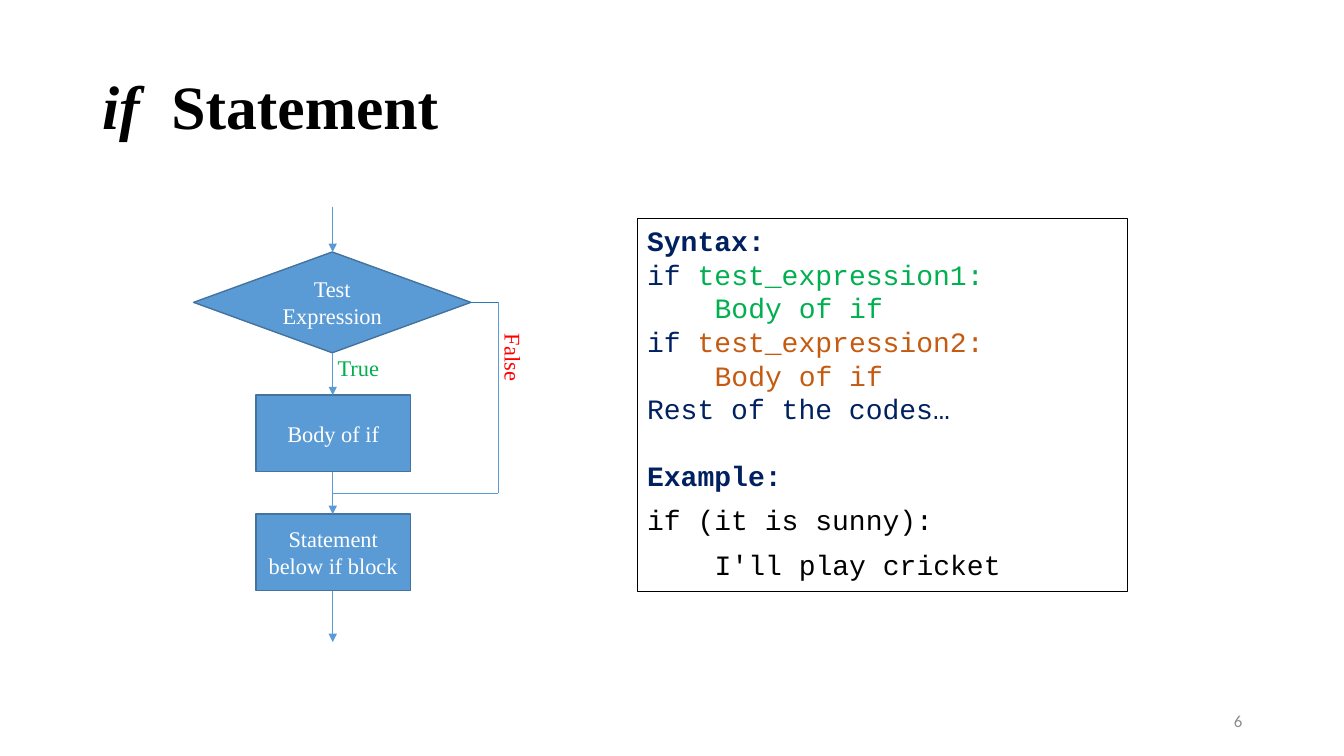
import dataclasses
import pptx
import pptx.util
import pptx.dml.color
import pptx.enum.shapes
import pptx.enum.text
import pptx.oxml
import pptx.oxml.ns

Inches = pptx.util.Inches
Kind = pptx.enum.shapes.MSO_SHAPE
Anchor = pptx.enum.text.MSO_ANCHOR
Align = pptx.enum.text.PP_ALIGN


@dataclasses.dataclass(frozen=True)
class Theme:
    serif: str = "Times New Roman"
    mono: str = "Courier New"
    sans: str = "Calibri"
    title: int = 44
    code: int = 20
    label: int = 16
    page: int = 12
    black: str = "000000"
    white: str = "FFFFFF"
    gray: str = "8C8C8C"
    navy: str = "002060"
    green: str = "00B050"
    rust: str = "C55A11"
    red: str = "FF0000"
    blue: str = "5B9BD5"
    edge: str = "43739E"
    deep: str = "2E75B6"


THEME = Theme()


def tint(code):
    return pptx.dml.color.RGBColor.from_string(code)


def say(frame, *parts, font=THEME.serif, size=THEME.label, color=THEME.black,
        bold=False, align=Align.LEFT, left=0, first=0, space=1.0, before=0):
    para = frame.paragraphs[0]
    if para.runs:
        para = frame.add_paragraph()
    para.alignment = align
    para.line_spacing = space
    para.space_before = pptx.util.Pt(before)
    props = para._p.get_or_add_pPr()
    props.set("marL", str(Inches(left)))
    props.set("indent", str(Inches(first)))
    for part in parts:
        text, hue, slant = (part + (False,))[:3] if isinstance(part, tuple) else (part, color, False)
        run = para.add_run()
        run.text = text
        run.font.name = font
        run.font.size = pptx.util.Pt(size)
        run.font.bold = bold
        run.font.italic = slant
        run.font.color.rgb = tint(hue)


def place(item, left, top, width, height):
    item.left, item.top = Inches(left), Inches(top)
    item.width, item.height = Inches(width), Inches(height)


def shape(slide, kind, box, fill=None, line=THEME.edge, width=1):
    item = slide.shapes.add_shape(kind, *map(Inches, box))
    item.shadow.inherit = False
    if fill:
        item.fill.solid()
        item.fill.fore_color.rgb = tint(fill)
    else:
        item.fill.background()
    item.line.color.rgb = tint(line)
    item.line.width = pptx.util.Pt(width)
    item.text_frame.word_wrap = True
    return item.text_frame


def step(slide, kind, box, text):
    frame = shape(slide, kind, box, fill=THEME.blue)
    frame.vertical_anchor = Anchor.MIDDLE
    say(frame, text, color=THEME.white, align=Align.CENTER)


def label(slide, box, text, turn=0, anchor=Anchor.TOP, **style):
    item = slide.shapes.add_textbox(*map(Inches, box))
    item.rotation = turn
    item.text_frame.word_wrap = True
    item.text_frame.vertical_anchor = anchor
    say(item.text_frame, text, **style)


def link(slide, start, end, color=THEME.blue, arrow=False):
    line = slide.shapes.add_connector(
        pptx.enum.shapes.MSO_CONNECTOR.STRAIGHT, *map(Inches, start + end))
    line.line.color.rgb = tint(color)
    line.line.width = pptx.util.Pt(0.5)
    if arrow:
        tip = pptx.oxml.parse_xml(
            f'<a:tailEnd {pptx.oxml.ns.nsdecls("a")} type="triangle"/>')
        line.line._get_or_add_ln().append(tip)
    line._element.spPr.append(pptx.oxml.parse_xml(
        f'<a:effectLst {pptx.oxml.ns.nsdecls("a")}/>'))


def title(slide):
    item = slide.shapes.title
    place(item, 0.92, 0.36, 11.5, 1.45)
    frame = item.text_frame
    frame.auto_size = pptx.enum.text.MSO_AUTO_SIZE.NONE
    frame.word_wrap = True
    frame.vertical_anchor = Anchor.MIDDLE
    say(frame, ("if", THEME.black, True), "  Statement",
        size=THEME.title, bold=True, space=0.9)


def listing(slide):
    frame = shape(slide, Kind.RECTANGLE, (6.32, 2.17, 4.86, 3.7),
                  line=THEME.black, width=0.75)
    frame.vertical_anchor = Anchor.TOP
    base = {"font": THEME.mono, "size": THEME.code}
    head = base | {"color": THEME.navy, "bold": True}
    tab = 0.67
    say(frame, "Syntax:", **head)
    for test, hue in (("test_expression1:", THEME.green), ("test_expression2:", THEME.rust)):
        say(frame, ("if ", THEME.navy), (test, hue), **base)
        say(frame, "Body of if", color=hue, left=tab, **base)
    say(frame, "Rest of the codes…", color=THEME.navy, **base)
    say(frame, "Example:", before=24, **head)
    demo = base | {"space": 0.9, "before": 10}
    say(frame, "if (it is sunny):", left=0.25, first=-0.25, **demo)
    say(frame, "I'll play cricket", left=tab, **demo)


def chart(slide):
    mid, side, join = 3.3, 4.94, 4.89
    step(slide, Kind.DIAMOND, (1.92, 2.5, 2.75, 1), "Test Expression")
    for top, text in ((3.92, "Body of if"), (5.1, "Statement below if block")):
        step(slide, Kind.RECTANGLE, (2.54, top, 1.53, 0.76), text)
    for top, end in ((2.05, 2.5), (3.5, 3.92), (4.68, 5.1), (5.86, 6.37)):
        link(slide, (mid, top), (mid, end), arrow=True)
    link(slide, (4.67, 3), (side, 3), color=THEME.deep)
    link(slide, (side, 3), (side, join))
    link(slide, (side, join), (mid, join))
    label(slide, (4.74, 3.38, 0.7, 0.37), "False", turn=90, color=THEME.red)
    label(slide, (3.25, 3.46, 0.97, 0.37), "True", color=THEME.green)


def main():
    deck = pptx.Presentation()
    deck.slide_width, deck.slide_height = Inches(13.33), Inches(7.5)
    slide = deck.slides.add_slide(deck.slide_layouts[5])
    title(slide)
    label(slide, (9.42, 6.95, 3, 0.4), "6", anchor=Anchor.MIDDLE, font=THEME.sans,
          size=THEME.page, color=THEME.gray, align=Align.RIGHT)
    listing(slide)
    chart(slide)
    deck.save("out.pptx")


if __name__ == "__main__":
    main()
